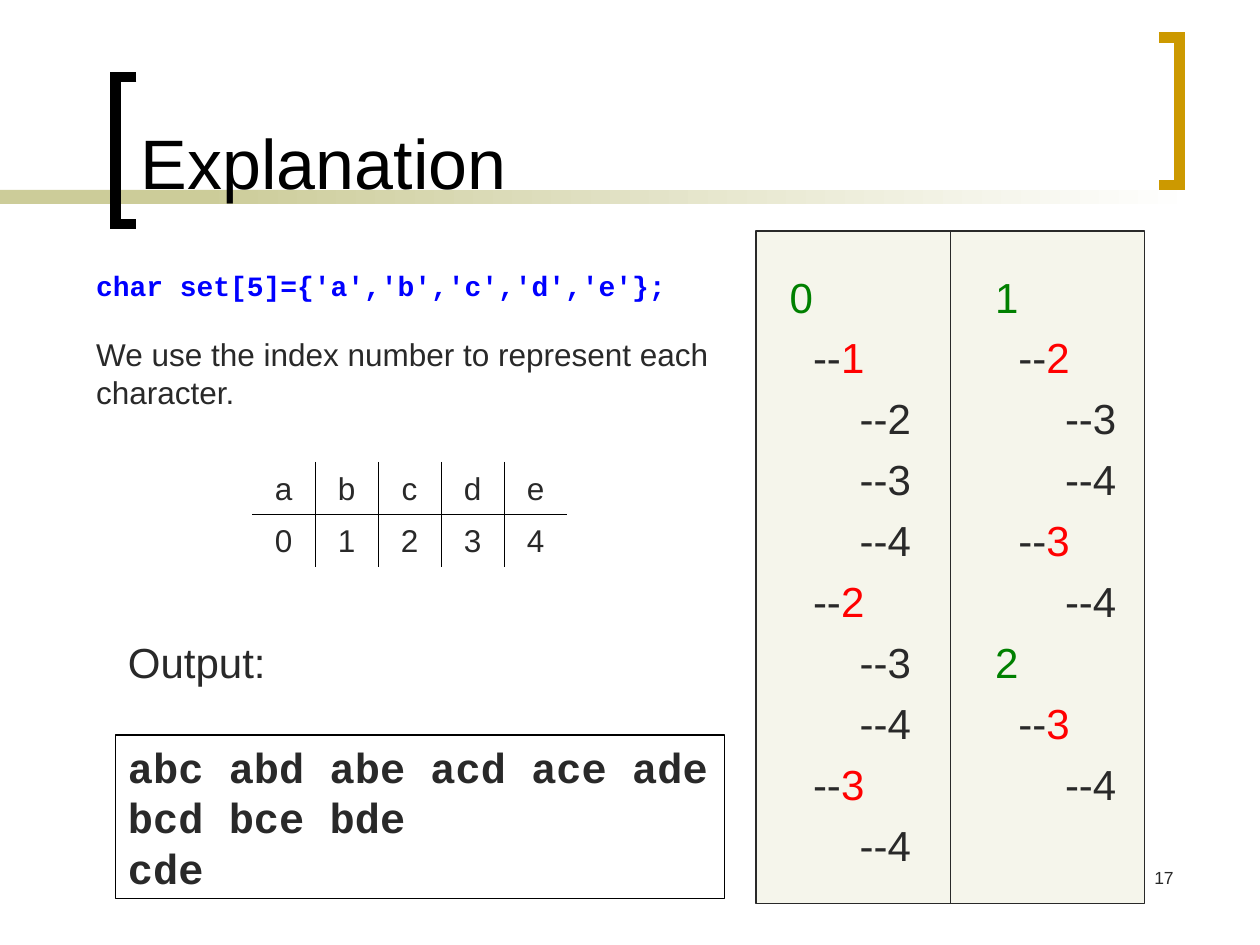
from lxml.etree import SubElement as Sub
from pptx import Presentation
from pptx.dml.color import RGBColor as Rgb
from pptx.enum.shapes import MSO_CONNECTOR as Link, MSO_SHAPE as Kind
from pptx.enum.text import MSO_ANCHOR as Anchor, PP_ALIGN as Align
from pptx.oxml.ns import qn
from pptx.util import Cm, Pt

HUES = {
    "black": "000000", "ink": "292929", "blue": "0000FF", "green": "008000",
    "red": "FF0000", "gold": "CC9900", "sand": "CCCC99", "cream": "F5F5EB",
    "white": "FFFFFF",
}
STEP = 0.47
TREES = [
    [(0, "0"), (1, "1"), (2, "2"), (2, "3"), (2, "4"), (1, "2"),
     (2, "3"), (2, "4"), (1, "3"), (2, "4")],
    [(0, "1"), (1, "2"), (2, "3"), (2, "4"), (1, "3"), (2, "4"),
     (0, "2"), (1, "3"), (2, "4")],
]


def hue(name):
    return Rgb.from_string(HUES[name])


def write(para, text, size=24, color="ink", font="Arial", bold=False,
          align=Align.LEFT, gap=0):
    para.alignment = align
    para.line_spacing = Pt(round(size * 1.2, 1))
    if gap:
        para.space_before = Pt(gap)
    run = para.add_run()
    run.text = text
    run.font.size = Pt(size)
    run.font.name = font
    run.font.bold = bold
    run.font.color.rgb = hue(color)


def frame(slide, box, anchor=Anchor.TOP, wrap=True):
    text = slide.shapes.add_textbox(*map(Cm, box)).text_frame
    text.word_wrap = wrap
    text.vertical_anchor = anchor
    return text


def block(slide, box, fill=None, line=None):
    shape = slide.shapes.add_shape(Kind.RECTANGLE, *map(Cm, box))
    shape.shadow.inherit = False
    if fill:
        shape.fill.solid()
        shape.fill.fore_color.rgb = hue(fill)
    else:
        shape.fill.background()
    if line:
        shape.line.color.rgb = hue(line)
        shape.line.width = Pt(0.75)
    else:
        shape.line.fill.background()
    return shape


def bracket(slide, box, color, right=False):
    x, y, w, h = box
    tip, back = (x, x + w) if right else (x + w, x)
    path = slide.shapes.build_freeform(Cm(tip), Cm(y))
    path.add_line_segments(
        [(Cm(back), Cm(y)), (Cm(back), Cm(y + h)), (Cm(tip), Cm(y + h))],
        close=False)
    shape = path.convert_to_shape()
    shape.shadow.inherit = False
    shape.fill.background()
    shape.line.color.rgb = hue(color)
    shape.line.width = Pt(6)
    Sub(shape.line._get_or_add_ln(), qn("a:miter"), lim="800000")


def header(slide, box):
    x, y, w, h = box
    block(slide, (x, y + 3.83, 5.93, 0.28), "sand")
    fade = block(slide, (x + 4.02, y + 3.83, 20.11, 0.28), "sand")
    fade.fill.gradient()
    fade.fill.gradient_angle = 0
    for stop, name, place in zip(fade.fill.gradient_stops,
                                 ("sand", "white"), (0, 1)):
        stop.color.rgb = hue(name)
        stop.position = place
    bracket(slide, (x + 2.33, y + 1.55, 0.42, 2.97), "black")
    bracket(slide, (x + w - 2.44, y + 0.76, 0.42, 2.97), "gold", right=True)
    title = frame(slide, (x + 2.59, y + 0.28, 19.89, h - 0.58), Anchor.BOTTOM)
    write(title.paragraphs[0], "Explanation", size=40, color="black")


def tree(slide, box, nodes):
    text = frame(slide, box)
    for row, (level, digit) in enumerate(nodes):
        para = text.add_paragraph() if row else text.paragraphs[0]
        indent = Cm(STEP * (0, 1, 3)[level])
        para._p.get_or_add_pPr().set("marL", str(indent))
        gap = 6 if row else 0
        if level:
            write(para, "--", gap=gap)
        write(para, digit, color=("green", "red", "ink")[level], gap=gap)


def panel(slide, box):
    x, y, w, h = box
    back = block(slide, box, "cream", "ink")
    for left, nodes in zip((0.43, 4.57), TREES):
        tree(slide, (x + left, y + 0.68, w / 2, h - 0.85), nodes)
    mid = Cm(x + w / 2)
    rule = slide.shapes.add_connector(
        Link.STRAIGHT, mid, Cm(y), mid, Cm(y + h))
    rule.begin_connect(back, 0)
    rule.end_connect(back, 2)
    rule.line.color.rgb = hue("ink")
    rule.line.width = Pt(0.75)
    Sub(rule._element.spPr, qn("a:effectLst"))


def edge(cell, sides):
    props = cell._tc.get_or_add_tcPr()
    for side in "LRTB":
        line = Sub(props, qn(f"a:ln{side}"), w=str(Pt(0.45)))
        if side in sides:
            fill = Sub(line, qn("a:solidFill"))
            Sub(fill, qn("a:srgbClr"), val=HUES["black"])
        else:
            Sub(line, qn("a:noFill"))


def grid(slide, box):
    rows = ["abcde", "01234"]
    last = len(rows[0]) - 1
    table = slide.shapes.add_table(
        len(rows), last + 1, *map(Cm, box)).table
    table.first_row = table.horz_banding = False
    for r, row in enumerate(rows):
        for c, text in enumerate(row):
            cell = table.cell(r, c)
            sides = ("T" if r else "B") + "L" * (c > 0) + "R" * (c < last)
            edge(cell, sides)
            cell.fill.background()
            cell.vertical_anchor = Anchor.MIDDLE
            write(cell.text_frame.paragraphs[0], text, size=18,
                  align=Align.CENTER)


def intro(slide, box):
    text = frame(slide, box)
    write(text.paragraphs[0], "char set[5]={'a','b','c','d','e'};", size=16,
          color="blue", font="Courier New", bold=True)
    write(text.add_paragraph(),
          "We use the index number to represent each character.",
          size=18, gap=19.2)


def output(slide, box):
    x, y, w, h = box
    label = frame(slide, (x, y, 3.28, 1.27), wrap=False)
    write(label.paragraphs[0], "Output:")
    text = block(slide, (x, y + 2.12, w, h - 2.12), line="black").text_frame
    text.word_wrap = True
    text.vertical_anchor = Anchor.TOP
    lines = ["abc abd abe acd ace ade", "bcd bce bde", "cde"]
    for row, line in enumerate(lines):
        para = text.add_paragraph() if row else text.paragraphs[0]
        write(para, line, font="Courier New", bold=True)


def number(slide, box):
    text = frame(slide, box)
    write(text.paragraphs[0], "17", size=10, align=Align.RIGHT)


def main():
    deck = Presentation()
    deck.slide_width, deck.slide_height = Cm(25.4), Cm(19.05)
    slide = deck.slides.add_slide(deck.slide_layouts[6])
    header(slide, (0, 0, 25.8, 4.52))
    panel(slide, (15.24, 4.66, 7.83, 13.55))
    number(slide, (18.63, 17.36, 5.28, 1.27))
    grid(slide, (5.08, 9.31, 6.35, 2.12))
    output(slide, (2.33, 12.7, 12.28, 5.42))
    intro(slide, (1.69, 5.28, 12.91, 3.15))
    deck.save("out.pptx")


if __name__ == "__main__":
    main()
